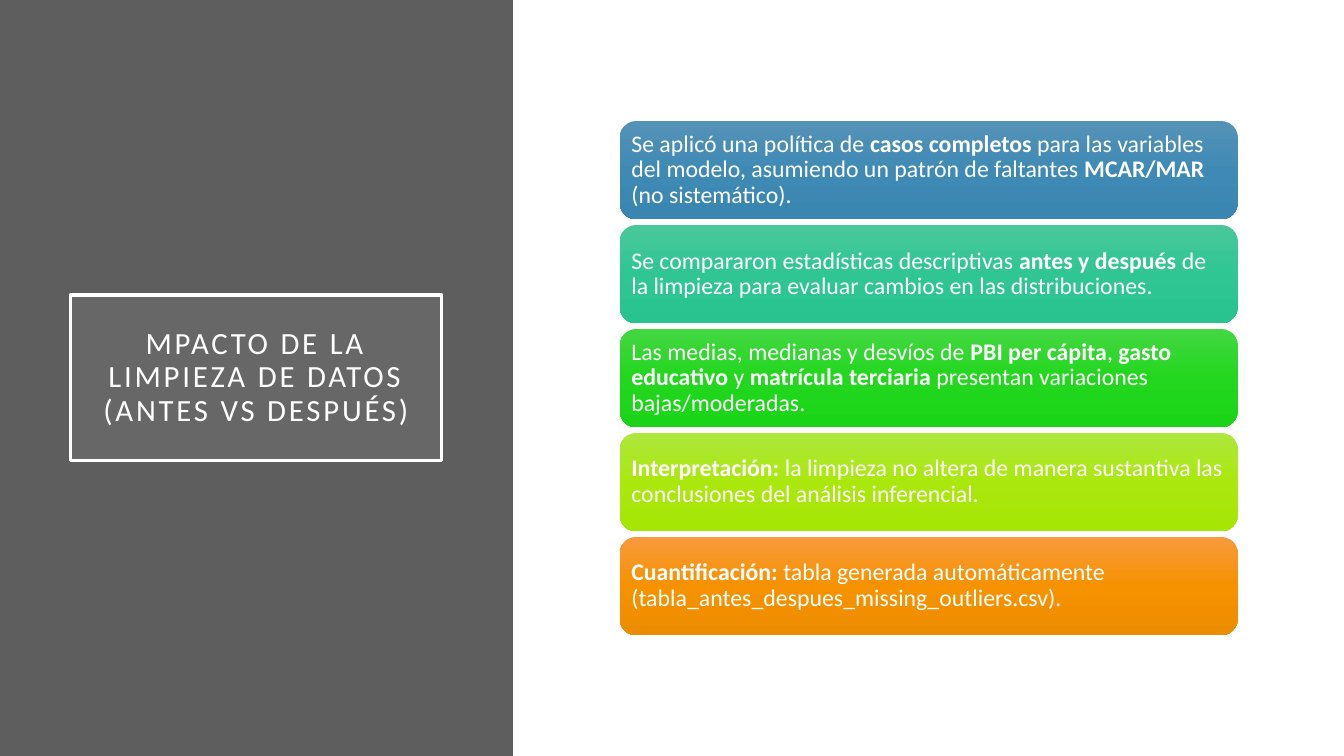
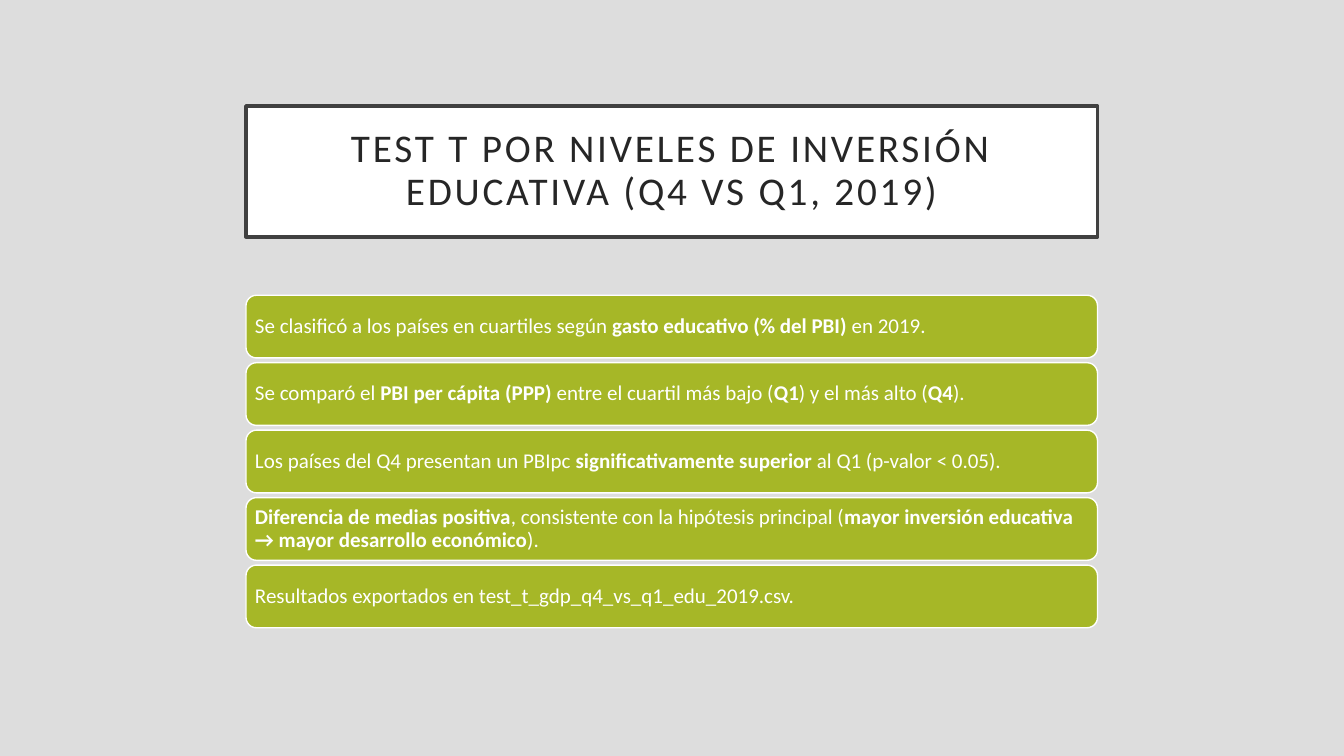
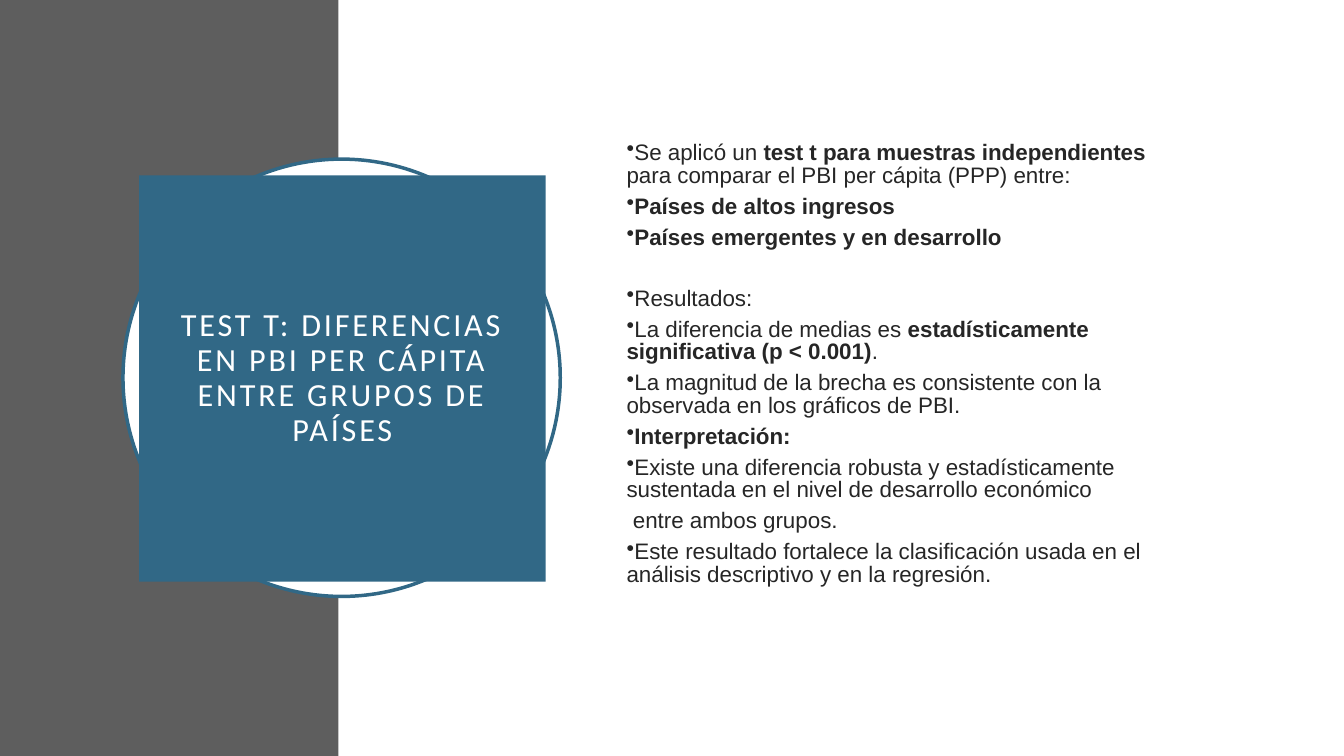
import copy

import pptx
import pptx.dml.color
import pptx.enum.shapes
import pptx.enum.text
import pptx.oxml
import pptx.oxml.ns
import pptx.util
from pptx.util import Cm

WHITE, GRAY, INK, BLUE = "FFFFFF", "5E5E5E", "262626", "316886"
SLIDE_W, SLIDE_H = 33.87, 19.05
SHAPES = pptx.enum.shapes.MSO_SHAPE

CLEANING = {
    "title": "MPACTO DE LA LIMPIEZA DE DATOS (ANTES VS DESPUÉS)",
    "cards": [
        "Se aplicó una política de **casos completos** para las variables del modelo, "
        "asumiendo un patrón de faltantes **MCAR/MAR** (no sistemático).",
        "Se compararon estadísticas descriptivas **antes y después** de la limpieza "
        "para evaluar cambios en las distribuciones.",
        "Las medias, medianas y desvíos de **PBI per cápita**, **gasto educativo** y "
        "**matrícula terciaria** presentan variaciones bajas/moderadas.",
        "**Interpretación:** la limpieza no altera de manera sustantiva las conclusiones "
        "del análisis inferencial.",
        "**Cuantificación:** tabla generada automáticamente "
        "(tabla_antes_despues_missing_outliers.csv).",
    ],
    "fills": [
        ("5592B7", "3F8AB5", "3986B1"),
        ("4AC79A", "2FC694", "28C38F"),
        ("44D742", "22D71E", "1BD417"),
        ("AEE73E", "AAE80D", "A6E605"),
        ("F79A3D", "F69200", "EC8C00"),
    ],
}

QUARTILES = {
    "title": "TEST T POR NIVELES DE INVERSIÓN EDUCATIVA (Q4 VS Q1, 2019)",
    "cards": [
        "Se clasificó a los países en cuartiles según **gasto educativo (% del PBI)** en 2019.",
        "Se comparó el **PBI per cápita (PPP)** entre el cuartil más bajo (**Q1**) "
        "y el más alto (**Q4**).",
        "Los países del Q4 presentan un PBIpc **significativamente superior** "
        "al Q1 (p-valor < 0.05).",
        "**Diferencia de medias positiva**, consistente con la hipótesis principal "
        "(**mayor inversión educativa → mayor desarrollo económico**).",
        "Resultados exportados en test_t_gdp_q4_vs_q1_edu_2019.csv.",
    ],
    "fills": ["A6B727"] * 5,
}

GROUPS = {
    "title": "TEST T: DIFERENCIAS EN PBI PER CÁPITA ENTRE GRUPOS DE PAÍSES",
    "points": [
        "Se aplicó un **test t para muestras independientes** para comparar "
        "el PBI per cápita (PPP) entre:",
        "**Países de altos ingresos**",
        "**Países emergentes y en desarrollo**",
        "Resultados:",
        "La diferencia de medias es **estadísticamente significativa (p < 0.001)**.",
        "La magnitud de la brecha es consistente con la observada en los gráficos de PBI.",
        "**Interpretación:**",
        "Existe una diferencia robusta y estadísticamente sustentada en el nivel "
        "de desarrollo económico",
        "entre ambos grupos.",
        "Este resultado fortalece la clasificación usada en el análisis descriptivo "
        "y en la regresión.",
    ],
    "section_end": 2,
    "continuation": 8,
}


def rgb(color):
    return pptx.dml.color.RGBColor.from_string(color)


def paint(fill, color):
    if isinstance(color, str):
        fill.solid()
        fill.fore_color.rgb = rgb(color)
        return
    fill.gradient()
    fill.gradient_angle = 270
    stops = fill._fill._gradFill.gsLst
    stops.insert(1, copy.deepcopy(stops[0]))
    for i, stop in enumerate(fill.gradient_stops):
        stop.position = i / (len(color) - 1)
        stop.color.rgb = rgb(color[i])


def add_box(s, kind, at, fill, line=None, width=2.5):
    sp = s.shapes.add_shape(kind, *map(Cm, at))
    sp.shadow.inherit = False
    paint(sp.fill, fill)
    if line:
        sp.line.color.rgb = rgb(line)
        sp.line.width = pptx.util.Pt(width)
    else:
        sp.line.fill.background()
    return sp


def write(sp, *texts, size, color=WHITE, font="Calibri", align="LEFT",
          leading=0.9, after=0, inset=0.25, tracking=0):
    tf = sp.text_frame
    tf.word_wrap = True
    tf.vertical_anchor = pptx.enum.text.MSO_ANCHOR.MIDDLE
    tf.margin_left = tf.margin_right = tf.margin_top = tf.margin_bottom = Cm(inset)
    for i, text in enumerate(texts):
        p = tf.add_paragraph() if i else tf.paragraphs[0]
        p.alignment = pptx.enum.text.PP_ALIGN[align]
        p.line_spacing = leading
        p.space_after = pptx.util.Pt(after)
        for j, part in enumerate(text.split("**")):
            if not part:
                continue
            r = p.add_run()
            r.text = part
            r.font.name = font
            r.font.size = pptx.util.Pt(size)
            r.font.bold = j % 2 == 1
            r.font.color.rgb = rgb(color)
            if tracking:
                r._r.get_or_add_rPr().set("spc", str(tracking * 100))
    return tf


def add_title(s, text, at, size, fill, line=None, color=WHITE):
    sp = add_box(s, SHAPES.RECTANGLE, at, fill, line)
    write(sp, text, size=size, color=color, align="CENTER", inset=0.5, tracking=2)
    return sp


def add_panel(s, width):
    add_box(s, SHAPES.RECTANGLE, (0, 0, width, SLIDE_H), GRAY)


def add_cards(s, content, at, pitch, size, inset, line=None):
    left, top, width, height = at
    for i, (text, fill) in enumerate(zip(content["cards"], content["fills"])):
        card_at = (left, top + i * pitch, width, height)
        sp = add_box(s, SHAPES.ROUNDED_RECTANGLE, card_at, fill, line, 1)
        write(sp, text, size=size, inset=inset)


def add_slide(prs, background=WHITE):
    s = prs.slides.add_slide(prs.slide_layouts[6])
    paint(s.background.fill, background)
    return s


def build_cleaning(prs):
    s = add_slide(prs)
    add_panel(s, 12.93)
    sp = add_title(s, CLEANING["title"], (1.78, 7.44, 9.35, 4.17), 22, "9E9E9E", WHITE)
    tint = sp.fill._xPr.find(".//" + pptx.oxml.ns.qn("a:srgbClr"))
    tint.append(pptx.oxml.parse_xml(
        f'<a:alpha {pptx.oxml.ns.nsdecls("a")} val="15000"/>'))
    add_cards(s, CLEANING, (15.62, 3.05, 15.57, 2.48), 2.62, 17, 0.17)


def build_quartiles(prs):
    s = add_slide(prs, "DDDDDD")
    add_title(s, QUARTILES["title"], (6.2, 2.67, 21.46, 3.3), 28, WHITE, "404040", INK)
    add_cards(s, QUARTILES, (6.2, 7.44, 21.46, 1.58), 1.7, 15, 0.15, WHITE)


def build_groups(prs):
    s = add_slide(prs)
    add_panel(s, 8.53)
    add_box(s, SHAPES.OVAL, (3.1, 4.01, 11.02, 11.02), WHITE, BLUE)
    add_title(s, GROUPS["title"], (3.51, 4.42, 10.24, 10.24), 23, BLUE)
    sp = s.shapes.add_textbox(*map(Cm, (15.54, 3.89, 14.78, 10.6)))
    tf = write(sp, *GROUPS["points"], size=16, color=INK, font="Arial",
               leading=0.84, after=6)
    tf.paragraphs[GROUPS["section_end"]].space_after = pptx.util.Pt(27.5)
    for i, p in enumerate(tf.paragraphs):
        pPr = p._p.get_or_add_pPr()
        if i == GROUPS["continuation"]:
            pPr.set("marL", str(Cm(0.16)))
        else:
            pPr.append(pptx.oxml.parse_xml(
                f'<a:buChar {pptx.oxml.ns.nsdecls("a")} char="•"/>'))


def main():
    prs = pptx.Presentation()
    prs.slide_width, prs.slide_height = Cm(SLIDE_W), Cm(SLIDE_H)
    build_cleaning(prs)
    build_quartiles(prs)
    build_groups(prs)
    prs.save("out.pptx")


if __name__ == "__main__":
    main()
